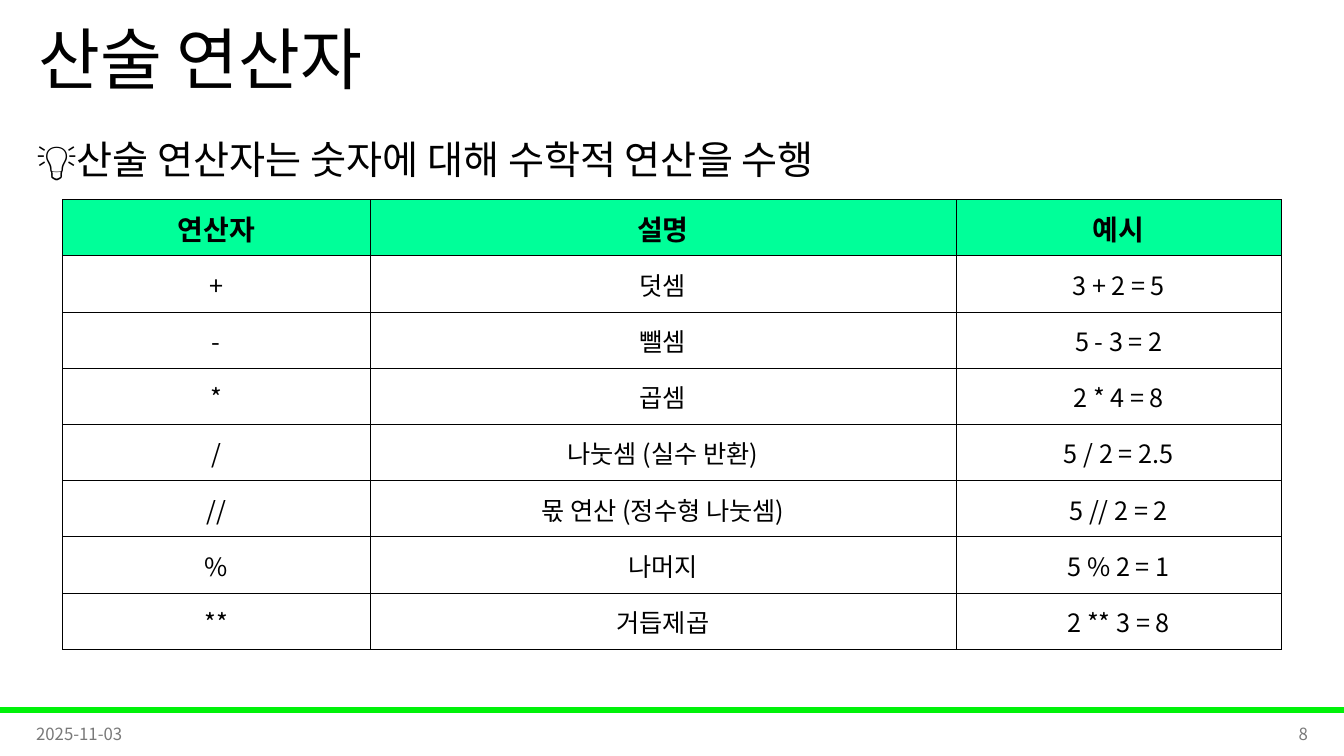
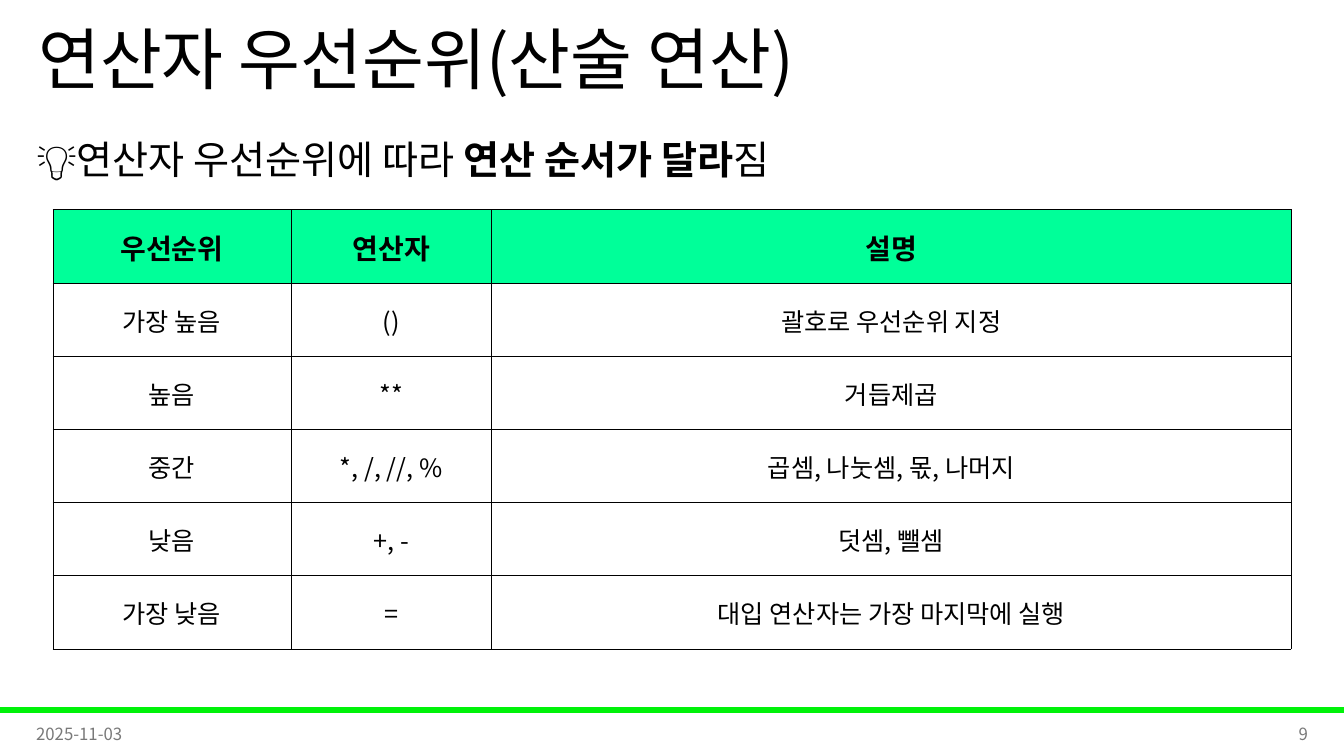
from lxml import etree
from pptx import Presentation
from pptx.dml.color import RGBColor
from pptx.enum.shapes import MSO_SHAPE
from pptx.enum.text import MSO_ANCHOR, MSO_AUTO_SIZE, PP_ALIGN
from pptx.oxml.ns import qn
from pptx.util import Inches, Pt

RECT = MSO_SHAPE.RECTANGLE
MID, TOP = MSO_ANCHOR.MIDDLE, MSO_ANCHOR.TOP
LEFT, MIDST, RIGHT = PP_ALIGN.LEFT, PP_ALIGN.CENTER, PP_ALIGN.RIGHT
FIXED = MSO_AUTO_SIZE.NONE

# Shared look
FONT = "Noto Sans CJK KR"
HUES = {"ink": "000000", "gray": "797979", "band": "00F209",
        "head": "00FF99", "page": "FFFFFF"}
HUE = {name: RGBColor.from_string(code) for name, code in HUES.items()}
WIDE, HIGH = Inches(13.33), Inches(7.5)
EDGE = Inches(0.26)
FOOT = Inches(7.08)
FLOOR = Inches(6.44)
DATE = "2025-11-03"

# Slide content: lead runs are (text, bold), cols are widths in inches
PAGES = [
    {"no": 8, "title": "산술 연산자",
     "lead": [("💡산술 연산자는 숫자에 대해 수학적 연산을 수행", False)],
     "top": 1.98, "cols": [3.05, 5.81, 3.23],
     "rows": [("연산자", "설명", "예시"),
              ("+", "덧셈", "3 + 2 = 5"),
              ("-", "뺄셈", "5 - 3 = 2"),
              ("*", "곱셈", "2 * 4 = 8"),
              ("/", "나눗셈 (실수 반환)", "5 / 2 = 2.5"),
              ("//", "몫 연산 (정수형 나눗셈)", "5 // 2 = 2"),
              ("%", "나머지", "5 % 2 = 1"),
              ("**", "거듭제곱", "2 ** 3 = 8")]},
    {"no": 9, "title": "연산자 우선순위(산술 연산)",
     "lead": [("💡연산자 우선순위에 따라 ", False),
              ("연산 순서가 달라", True), ("짐", False)],
     "top": 2.08, "cols": [2.36, 1.99, 7.93],
     "rows": [("우선순위", "연산자", "설명"),
              ("가장 높음", "()", "괄호로 우선순위 지정"),
              ("높음", "**", "거듭제곱"),
              ("중간", "*, /, //, %", "곱셈, 나눗셈, 몫, 나머지"),
              ("낮음", "+, -", "덧셈, 뺄셈"),
              ("가장 낮음", "=", "대입 연산자는 가장 마지막에 실행")]},
]


def style(para, size, hue="ink", align=LEFT, bold=False):
    para.alignment = align
    for run in para.runs:
        font = run.font
        font.size, font.bold = Pt(size), bold
        font.color.rgb = HUE[hue]
        font.name = FONT
        east = etree.SubElement(run._r.get_or_add_rPr(), qn("a:ea"))
        east.set("typeface", FONT)


def place(shape, left, top, width, height, anchor=MID):
    shape.left, shape.top = left, top
    shape.width, shape.height = width, height
    frame = shape.text_frame
    frame.word_wrap = True
    frame.auto_size = FIXED
    frame.vertical_anchor = anchor
    return frame


deck = Presentation()
deck.slide_width, deck.slide_height = WIDE, HIGH
layout = deck.slide_layouts[1]

for page in PAGES:
    slide = deck.slides.add_slide(layout)

    # Green band, kept once on the master
    if page is PAGES[0]:
        band = slide.shapes.add_shape(RECT, 0, Inches(7.02), WIDE, Inches(0.05))
        band.shadow.inherit = False
        band.fill.solid()
        band.fill.fore_color.rgb = band.line.color.rgb = HUE["band"]
        band.line.width = Pt(1)
        band.element.nvSpPr.cNvPr.set("id", "99")
        deck.slide_master.shapes.element.append(band.element)

    # Title
    frame = place(slide.shapes.title, Inches(0.28), 0, Inches(11.5), HIGH // 6)
    frame.text = page["title"]
    frame.paragraphs[0].line_spacing = 0.9
    style(frame.paragraphs[0], 48)

    # Lead line
    frame = place(slide.placeholders[1], EDGE, Inches(1.06),
                  WIDE - 2 * EDGE, Inches(0.88), TOP)
    para = frame.paragraphs[0]
    props = para._p.get_or_add_pPr()
    props.set("marL", "0")
    props.set("indent", "0")
    etree.SubElement(props, qn("a:buNone"))
    para.line_spacing, para.space_before = 1.5, Pt(0)
    for text, bold in page["lead"]:
        para.add_run().text = text
    style(para, 28)
    for run, (text, bold) in zip(para.runs, page["lead"]):
        run.font.bold = bold

    # Date and page number
    wide = Inches(3)
    for text, left, align in [(DATE, EDGE, LEFT),
                              (str(page["no"]), WIDE - EDGE - wide, RIGHT)]:
        box = slide.shapes.add_textbox(0, 0, 0, 0)
        frame = place(box, left, FOOT, wide, Inches(0.4))
        frame.text = text
        style(frame.paragraphs[0], 12, "gray", align)

    # Table, centred on the slide
    rows, cols = page["rows"], [Inches(col) for col in page["cols"]]
    top, width = Inches(page["top"]), sum(cols)
    table = slide.shapes.add_table(len(rows), len(cols), (WIDE - width) // 2,
                                   top, width, FLOOR - top).table
    table.horz_banding = False
    for col, size in zip(table.columns, cols):
        col.width = size
    for r, row in enumerate(rows):
        for c, text in enumerate(row):
            cell = table.cell(r, c)
            cell.text = text
            cell.vertical_anchor = MID
            cell.margin_left = cell.margin_right = cell.margin_top = Inches(0.01)
            cell.margin_bottom = 0
            head = r == 0
            style(cell.text_frame.paragraphs[0], 20 if head else 18,
                  align=MIDST, bold=head)
            # Borders come before the fill in the cell properties
            props = cell._tc.get_or_add_tcPr()
            for side in ("lnL", "lnR", "lnT", "lnB"):
                line = etree.SubElement(props, qn("a:" + side), w=str(Pt(0.5)))
                fill = etree.SubElement(line, qn("a:solidFill"))
                etree.SubElement(fill, qn("a:srgbClr"), val=HUES["ink"])
            cell.fill.solid()
            cell.fill.fore_color.rgb = HUE["head" if head else "page"]

deck.save("out.pptx")
